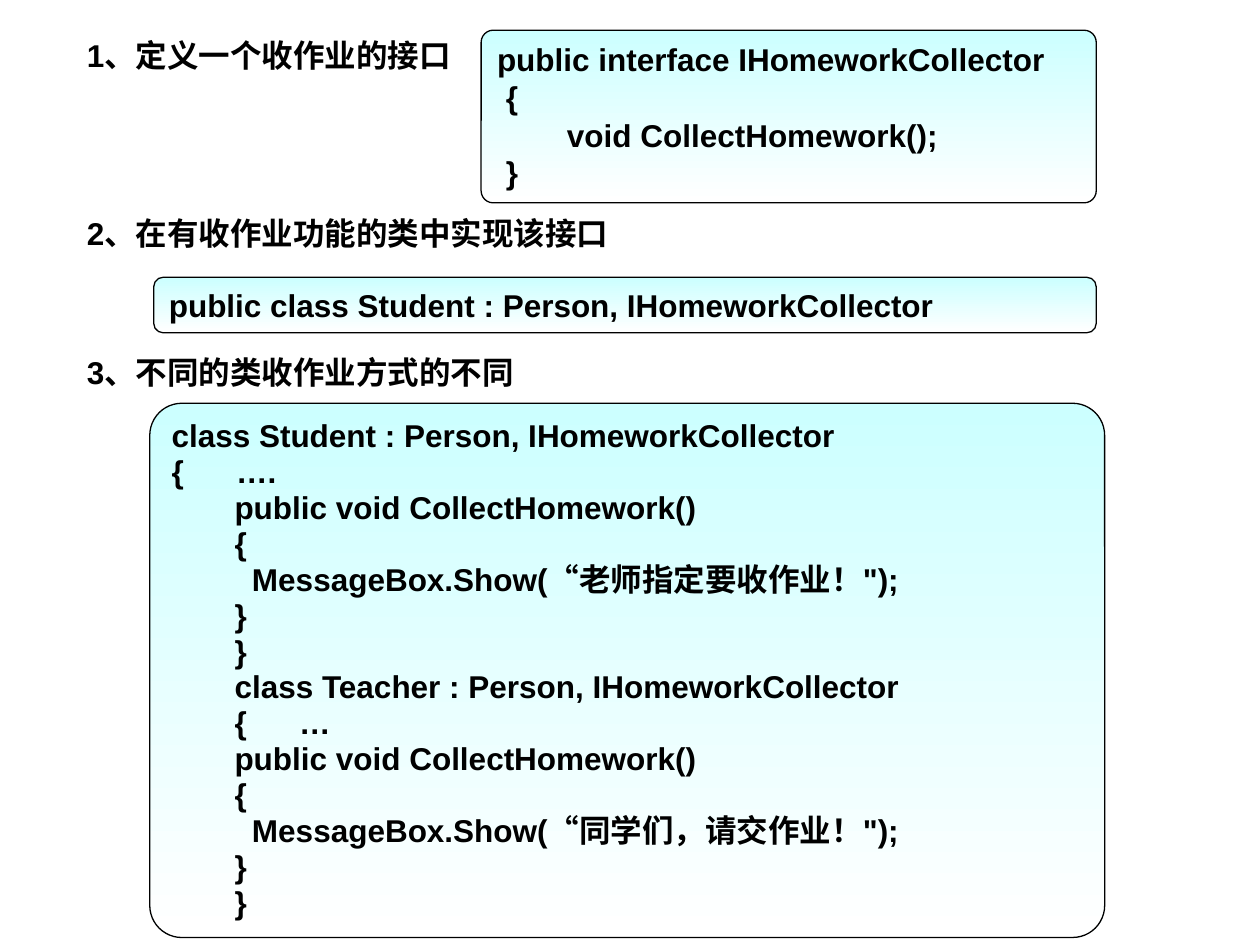
import dataclasses

import pptx
import pptx.dml.color
import pptx.enum.shapes
import pptx.enum.text
import pptx.util

Cm = pptx.util.Cm
Rgb = pptx.dml.color.RGBColor


@dataclasses.dataclass(frozen=True)
class Theme:
    font: str = "Arial"
    size: float = 18
    ink: str = "000000"
    top: str = "CCFFFF"
    base: str = "FFFFFF"
    line: float = 0.75


def write(frame, text, *, theme, deep=(), pitch=None):
    frame.word_wrap = True
    frame.auto_size = pptx.enum.text.MSO_AUTO_SIZE.NONE
    frame.vertical_anchor = pptx.enum.text.MSO_ANCHOR.TOP
    for row, line in enumerate(text.split("\n")):
        para = frame.paragraphs[0] if row == 0 else frame.add_paragraph()
        para.alignment = pptx.enum.text.PP_ALIGN.LEFT
        para.level = int(row in deep)
        if pitch:
            para.line_spacing = pitch
        run = para.add_run()
        run.text = line
        run.font.name = theme.font
        run.font.size = pptx.util.Pt(theme.size)
        run.font.bold = True
        run.font.color.rgb = Rgb.from_string(theme.ink)


class Page:
    """Draw styled elements on one slide."""

    def __init__(self, slide, theme):
        self.slide = slide
        self.theme = theme

    def label(self, text, top, width):
        box = self.slide.shapes.add_textbox(Cm(1.5), Cm(top), Cm(width), Cm(1.02))
        write(box.text_frame, text, theme=self.theme)

    def code(self, text, area, round, **style):
        kind = pptx.enum.shapes.MSO_SHAPE.ROUNDED_RECTANGLE
        box = self.slide.shapes.add_shape(kind, *map(Cm, area))
        box.adjustments[0] = round
        box.shadow.inherit = False
        box.fill.gradient()
        box.fill.gradient_angle = 270
        tones = (self.theme.top, self.theme.base)
        for place, (stop, tone) in enumerate(zip(box.fill.gradient_stops, tones)):
            stop.position = place
            stop.color.rgb = Rgb.from_string(tone)
        box.line.color.rgb = Rgb.from_string(self.theme.ink)
        box.line.width = pptx.util.Pt(self.theme.line)
        write(box.text_frame, text, theme=self.theme, **style)


FACE = """public interface IHomeworkCollector
 {
        void CollectHomework();
 }"""

HEAD = "public class Student : Person, IHomeworkCollector"

BODY = """class Student : Person, IHomeworkCollector
{      ….
public void CollectHomework()
{
  MessageBox.Show(“老师指定要收作业！");
}
}
class Teacher : Person, IHomeworkCollector
{      …
public void CollectHomework()
{
  MessageBox.Show(“同学们，请交作业！");
}
}"""

STEPS = (
    ("1、定义一个收作业的接口", 0.61, 8.81),
    ("2、在有收作业功能的类中实现该接口", 4.19, 11.1),
    ("3、不同的类收作业方式的不同", 6.99, 9.17),
)


def main():
    deck = pptx.Presentation()
    deck.slide_width, deck.slide_height = Cm(25.4), Cm(19.05)
    page = Page(deck.slides.add_slide(deck.slide_layouts[6]), Theme())
    page.code(FACE, (9.7, 0.61, 12.4, 3.48), 0.07)
    page.code(HEAD, (3.1, 5.59, 19, 1.12), 0.17)
    page.code(BODY, (3.02, 8.13, 19.25, 10.77), 0.06, deep=range(2, 14), pitch=0.95)
    for step in STEPS:
        page.label(*step)
    deck.save("out.pptx")


if __name__ == "__main__":
    main()
